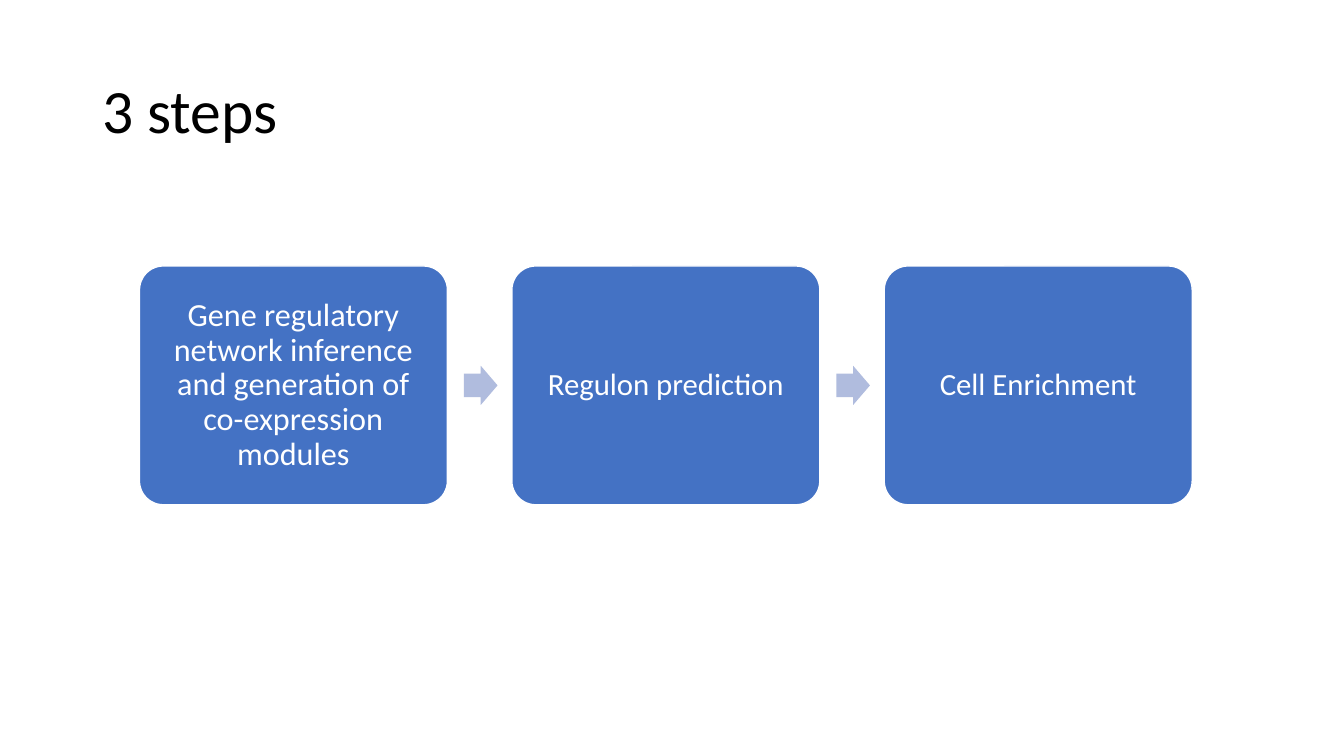
from pptx import Presentation
from pptx.dml.color import RGBColor
from pptx.enum.shapes import MSO_SHAPE
from pptx.enum.text import MSO_ANCHOR, PP_ALIGN
from pptx.util import Pt

BLACK = RGBColor(0x00, 0x00, 0x00)
WHITE = RGBColor(0xFF, 0xFF, 0xFF)
BLUE = RGBColor(0x44, 0x72, 0xC4)
PALE_BLUE = RGBColor(0xB0, 0xBC, 0xDE)

STEPS = [
    ("Gene regulatory network inference and generation of co-expression modules", 23),
    ("Regulon prediction", 22),
    ("Cell Enrichment", 22),
]
LEFT, TOP, WIDTH, HEIGHT, PITCH = 99.6, 190, 220, 170.6, 266
ARROW_WIDTH, ARROW_HEIGHT, ARROW_GAP = 24, 28, 11.8


class Deck:
    font = "Calibri"
    line_spacing = 0.9

    def __init__(self, prs):
        self.s = prs.slides.add_slide(prs.slide_layouts[6])

    def add_text(self, sp, text, size, color, align):
        tf = sp.text_frame
        tf.word_wrap = True
        tf.vertical_anchor = MSO_ANCHOR.MIDDLE
        p = tf.paragraphs[0]
        p.alignment = align
        p.line_spacing = self.line_spacing
        r = p.add_run()
        r.text = text
        r.font.name = self.font
        r.font.size = Pt(size)
        r.font.color.rgb = color

    def title(self, text, x, y, w, h):
        sp = self.s.shapes.add_textbox(Pt(x), Pt(y), Pt(w), Pt(h))
        self.add_text(sp, text, 44, BLACK, PP_ALIGN.LEFT)

    def shape(self, kind, x, y, w, h, fill, adjustments):
        sp = self.s.shapes.add_shape(kind, Pt(x), Pt(y), Pt(w), Pt(h))
        sp.shadow.inherit = False
        sp.fill.solid()
        sp.fill.fore_color.rgb = fill
        sp.line.fill.background()
        for i, value in enumerate(adjustments):
            sp.adjustments[i] = value
        return sp

    def step(self, text, size, x, y, w, h):
        sp = self.shape(MSO_SHAPE.ROUNDED_RECTANGLE, x, y, w, h, BLUE, [0.1])
        sp.line.color.rgb = WHITE
        sp.line.width = Pt(1)
        tf = sp.text_frame
        tf.margin_left = tf.margin_right = Pt(7)
        tf.margin_top = tf.margin_bottom = Pt(7)
        self.add_text(sp, text, size, WHITE, PP_ALIGN.CENTER)

    def arrow(self, x, y, w, h):
        self.shape(MSO_SHAPE.RIGHT_ARROW, x, y, w, h, PALE_BLUE, [0.6, 0.5])


def main():
    prs = Presentation()
    prs.slide_width, prs.slide_height = Pt(960), Pt(540)
    deck = Deck(prs)
    deck.title("3 steps", 66, 28.8, 828, 104.4)
    for i, (text, size) in enumerate(STEPS):
        x = LEFT + i * PITCH
        if i:
            deck.arrow(x - PITCH + WIDTH + ARROW_GAP, TOP + (HEIGHT - ARROW_HEIGHT) / 2,
                       ARROW_WIDTH, ARROW_HEIGHT)
        deck.step(text, size, x, TOP, WIDTH, HEIGHT)
    prs.save("out.pptx")


if __name__ == "__main__":
    main()
